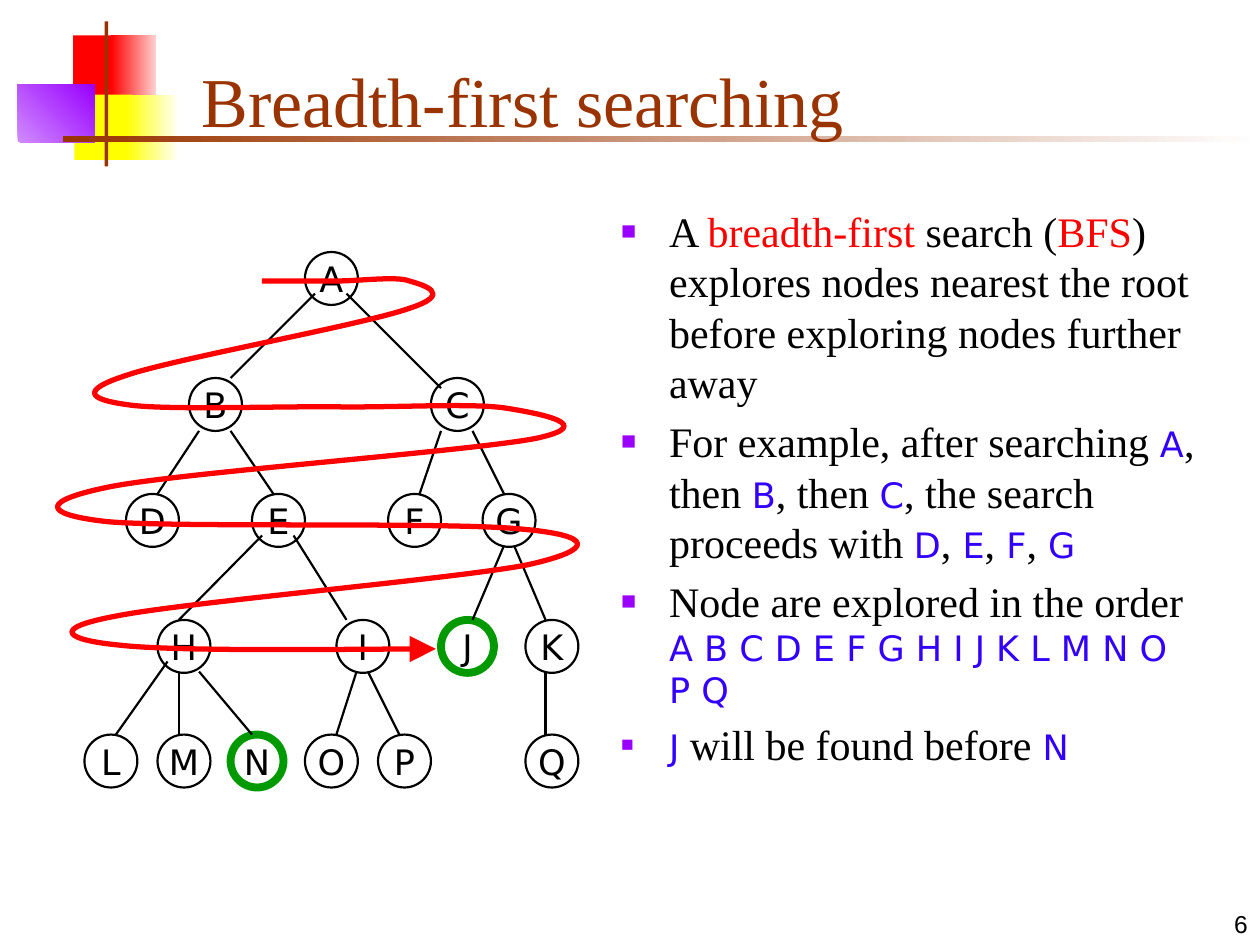
from lxml.etree import SubElement
from pptx import Presentation
from pptx.dml.color import RGBColor
from pptx.enum.shapes import MSO_CONNECTOR, MSO_SHAPE
from pptx.enum.text import MSO_ANCHOR, MSO_AUTO_SIZE, PP_ALIGN
from pptx.oxml.ns import qn
from pptx.util import Inches, Pt

COLORS = {
    "black": "000000", "red": "FF0000", "pink": "FFD1D1", "yellow": "FFFF00",
    "cream": "FFFFF0", "lilac": "D18BFF", "purple": "9900FF", "brown": "993300",
    "white": "FFFFFF", "blue": "3300FF", "green": "009900",
}
STYLES = {
    "title": ("Times New Roman", 40, "brown"),
    "plain": ("Times New Roman", 24, "black"),
    "term": ("Times New Roman", 24, "red"),
    "node": ("DejaVu Sans", 20, "blue"),
    "label": ("DejaVu Sans", 20, "black"),
    "number": ("Arial", 14, "black"),
}
DECORATIONS = [
    ((0.58, 0.28, 0.35, 0.52), ["red"], 0),
    ((0.88, 0.28, 0.36, 0.52), ["red", "pink"], 0),
    ((0.59, 0.75, 0.46, 0.52), ["yellow"], 0),
    ((1, 0.75, 0.4, 0.52), ["yellow", "cream"], 0),
    ((0.14, 0.67, 0.61, 0.46), ["lilac", "purple"], 45),
    ((0.83, 0.17, 0.03, 1.15), ["brown"], 0),
    ((0.5, 1.08, 9.5, 0.05), ["brown", "white"], 0),
]
BULLETS = [
    [("A ", "plain"), ("breadth-first", "term"), (" search (", "plain"), ("BFS", "term"),
     (") explores nodes nearest the root before exploring nodes further away", "plain")],
    [("For example, after searching ", "plain"), ("A", "node"), (", then ", "plain"),
     ("B", "node"), (", then ", "plain"), ("C", "node"),
     (", the search proceeds with ", "plain"), ("D", "node"), (",", "plain"),
     (" E", "node"), (",", "plain"), (" F", "node"), (",", "plain"), (" G", "node")],
    [("Node are explored in the order ", "plain"),
     ("A B C D E F G H I J K L M N O P Q", "node")],
    [("J", "node"), (" will be found before", "plain"), (" N", "node")],
]
NODE_SIZE = 0.42
GOALS = "JN"
LEVELS = [
    (2, {"A": 2.42}),
    (3, {"B": 1.5, "C": 3.42}),
    (3.92, {"D": 1, "E": 2, "F": 3.08, "G": 3.83}),
    (4.92, {"H": 1.25, "I": 2.67, "J": 3.5, "K": 4.17}),
    (5.83, {"L": 0.67, "M": 1.25, "N": 1.83, "O": 2.42, "P": 3, "Q": 4.17}),
]
EDGES = [
    (1.83, 3, 2.5, 2.33), (2.75, 2.33, 3.5, 3.08),
    (1.58, 3.42, 1.25, 3.92), (1.83, 3.42, 2.17, 3.92),
    (3.5, 3.42, 3.33, 3.92), (3.75, 3.42, 4, 3.92),
    (1.42, 4.92, 2.08, 4.25), (2.75, 4.92, 2.33, 4.25),
    (3.75, 4.92, 4, 4.33), (4.33, 4.92, 4.08, 4.33),
    (0.92, 5.83, 1.33, 5.25), (1.42, 5.83, 1.42, 5.33), (2, 5.83, 1.58, 5.33),
    (2.67, 5.83, 2.83, 5.33), (3.17, 5.83, 2.92, 5.33), (4.33, 5.83, 4.33, 5.33),
]
ROUTE_START = (2.08, 2.23)
ROUTE_CURVES = [
    ((2.18, 2.23), (2.47, 2.23), (2.67, 2.23)),
    ((2.86, 2.23), (3.15, 2.19), (3.25, 2.23)),
    ((3.35, 2.26), (3.62, 2.33), (3.24, 2.45)),
    ((2.87, 2.58), (1.37, 2.85), (1, 2.98)),
    ((0.63, 3.1), (0.71, 3.17), (1, 3.21)),
    ((1.29, 3.26), (2.25, 3.22), (2.75, 3.23)),
    ((3.25, 3.23), (3.77, 3.2), (4.02, 3.24)),
    ((4.27, 3.28), (4.77, 3.37), (4.25, 3.48)),
    ((3.73, 3.58), (1.46, 3.75), (0.89, 3.86)),
    ((0.33, 3.97), (0.31, 4.08), (0.85, 4.14)),
    ((1.39, 4.19), (3.59, 4.14), (4.15, 4.2)),
    ((4.71, 4.25), (4.73, 4.36), (4.2, 4.48)),
    ((3.66, 4.59), (1.46, 4.78), (0.92, 4.89)),
    ((0.38, 4.99), (0.53, 5.08), (0.95, 5.12)),
    ((1.38, 5.17), (2.94, 5.15), (3.46, 5.15)),
]


def color(name):
    return RGBColor.from_string(COLORS[name])


def box(*lengths):
    return [Inches(length) for length in lengths]


def add_run(paragraph, text, style):
    font_name, size, color_name = STYLES[style]
    run = paragraph.add_run()
    run.text = text
    run.font.name = font_name
    run.font.size = Pt(size)
    run.font.color.rgb = color(color_name)


def set_line(shape, color_name, width):
    shape.line.color.rgb = color(color_name)
    shape.line.width = Pt(width)


def add_decoration(slide, position, color_names, angle):
    shape = slide.shapes.add_shape(MSO_SHAPE.RECTANGLE, *box(*position))
    shape.shadow.inherit = False
    shape.line.fill.background()
    if len(color_names) == 1:
        shape.fill.solid()
        shape.fill.fore_color.rgb = color(color_names[0])
        return
    shape.fill.gradient()
    shape.fill.gradient_angle = angle
    for stop, name in zip(shape.fill.gradient_stops, color_names):
        stop.color.rgb = color(name)


def add_slide_number(slide, text):
    shape = slide.shapes.add_textbox(*box(7.92, 7, 2.08, 0.5))
    shape.text_frame.word_wrap = True
    shape.text_frame.vertical_anchor = MSO_ANCHOR.BOTTOM
    paragraph = shape.text_frame.paragraphs[0]
    paragraph.alignment = PP_ALIGN.RIGHT
    add_run(paragraph, text, "number")


def place(slide, placeholder, position, anchor):
    slide.shapes._spTree.append(placeholder._element)
    placeholder.left, placeholder.top, placeholder.width, placeholder.height = box(*position)
    placeholder.text_frame.auto_size = MSO_AUTO_SIZE.NONE
    placeholder.text_frame.vertical_anchor = anchor


def set_bullet(paragraph):
    properties = paragraph._p.get_or_add_pPr()
    properties.set("marL", str(Inches(0.38)))
    properties.set("indent", str(-Inches(0.38)))
    bullet_color = SubElement(properties, qn("a:buClr"))
    SubElement(bullet_color, qn("a:srgbClr"), val=COLORS["purple"])
    SubElement(properties, qn("a:buSzPct"), val="60000")
    SubElement(properties, qn("a:buFont"), typeface="Arial")
    SubElement(properties, qn("a:buChar"), char="■")


def fill_title(slide):
    title = slide.shapes.title
    place(slide, title, (1.5, 0.25, 8.36, 0.92), MSO_ANCHOR.BOTTOM)
    paragraph = title.text_frame.paragraphs[0]
    paragraph.alignment = PP_ALIGN.LEFT
    add_run(paragraph, "Breadth-first searching", "title")


def fill_body(slide):
    body = slide.placeholders[1]
    place(slide, body, (4.83, 1.58, 4.77, 5.5), MSO_ANCHOR.TOP)
    frame = body.text_frame
    for index, runs in enumerate(BULLETS):
        paragraph = frame.add_paragraph() if index else frame.paragraphs[0]
        set_bullet(paragraph)
        paragraph.space_before = Pt(5 if index else 0)
        for text, style in runs:
            add_run(paragraph, text, style)


def add_node(slide, label, left, top):
    node = slide.shapes.add_shape(MSO_SHAPE.OVAL, *box(left, top, NODE_SIZE, NODE_SIZE))
    node.shadow.inherit = False
    node.fill.background()
    set_line(node, *(("green", 4.5) if label in GOALS else ("black", 1.25)))
    node.text_frame.word_wrap = False
    node.text_frame.vertical_anchor = MSO_ANCHOR.MIDDLE
    paragraph = node.text_frame.paragraphs[0]
    paragraph.alignment = PP_ALIGN.CENTER
    add_run(paragraph, label, "label")


def add_edge(slide, ends):
    edge = slide.shapes.add_connector(MSO_CONNECTOR.STRAIGHT, *box(*ends))
    set_line(edge, "black", 1.25)
    SubElement(edge._element.spPr, qn("a:effectLst"))


def bend_segments(freeform):
    outline = next(freeform._element.iter(qn("a:path")))
    segments = outline.findall(qn("a:lnTo"))
    for first in range(0, len(segments), 3):
        curve = SubElement(outline, qn("a:cubicBezTo"))
        for segment in segments[first:first + 3]:
            curve.append(segment[0])
            outline.remove(segment)


def add_route(slide):
    builder = slide.shapes.build_freeform(*box(*ROUTE_START))
    points = [box(*point) for curve in ROUTE_CURVES for point in curve]
    builder.add_line_segments(points, close=False)
    route = builder.convert_to_shape()
    bend_segments(route)
    route.shadow.inherit = False
    route.fill.background()
    set_line(route, "red", 3)
    SubElement(route.line._get_or_add_ln(), qn("a:tailEnd"),
               type="triangle", w="lg", len="lg")


def main():
    presentation = Presentation()
    presentation.slide_width, presentation.slide_height = box(10, 7.5)
    slide = presentation.slides.add_slide(presentation.slide_layouts[1])
    for decoration in DECORATIONS:
        add_decoration(slide, *decoration)
    add_slide_number(slide, "6")
    fill_title(slide)
    fill_body(slide)
    for top, nodes in LEVELS:
        for label, left in nodes.items():
            add_node(slide, label, left, top)
    for ends in EDGES:
        add_edge(slide, ends)
    add_route(slide)
    presentation.save("out.pptx")


if __name__ == "__main__":
    main()
